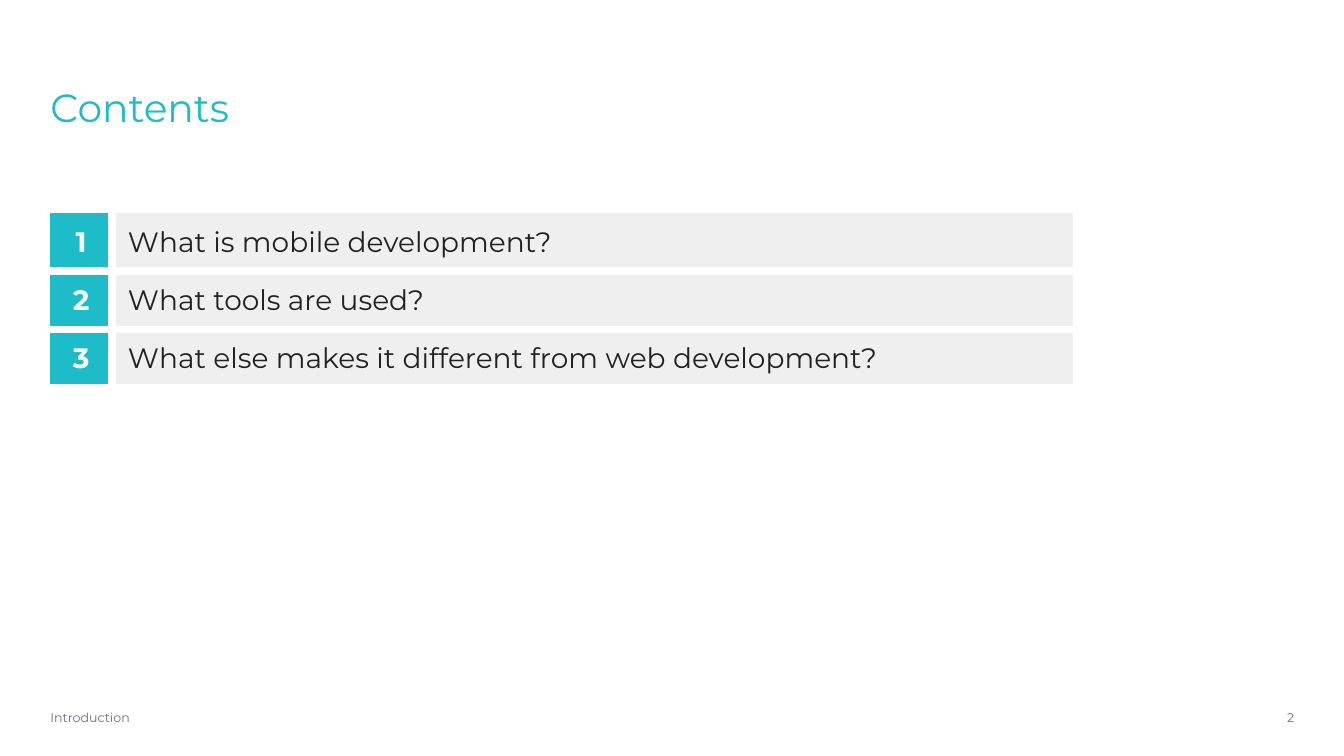
from lxml.etree import SubElement
from pptx import Presentation
from pptx.dml.color import RGBColor
from pptx.enum.text import MSO_ANCHOR, MSO_AUTO_SIZE, PP_ALIGN
from pptx.oxml.ns import qn
from pptx.util import Inches, Pt

HUES = {"teal": "1EBCC8", "grey": "EFEFEF", "ink": "222222",
        "white": "FFFFFF", "slate": "6D6F78"}
TOPICS = ["What is mobile development?", "What tools are used?",
          "What else makes it different from web development?"]
COLS, ROWS = 80, 45


class Deck:
    """Holds the style and current slide, placing items on an 80 by 45 grid."""

    def __init__(self, show):
        self.font = "Montserrat"
        self.unit = show.slide_width / COLS
        self.slide = show.slides.add_slide(show.slide_layouts[5])

    def span(self, *cells):
        return [round(cell * self.unit) for cell in cells]

    def label(self, frame, text, size, hue, align=PP_ALIGN.LEFT, bold=False):
        line = frame.paragraphs[0]
        line.alignment = align
        run = line.add_run()
        run.text = text
        run.font.name = self.font
        run.font.size = Pt(size)
        run.font.bold = bold
        run.font.color.rgb = RGBColor.from_string(HUES[hue])
        return line

    def clear(self, frame, anchor):
        frame.margin_left = frame.margin_right = 0
        frame.margin_top = frame.margin_bottom = 0
        frame.word_wrap = True
        frame.auto_size = MSO_AUTO_SIZE.NONE
        frame.vertical_anchor = anchor

    def title(self, text, *area):
        head = self.slide.shapes.title
        head.left, head.top, head.width, head.height = self.span(*area)
        self.clear(head.text_frame, MSO_ANCHOR.TOP)
        self.label(head.text_frame, text, 28, "teal").line_spacing = 0.9

    def note(self, text, area, align=PP_ALIGN.LEFT):
        frame = self.slide.shapes.add_textbox(*self.span(*area)).text_frame
        self.clear(frame, MSO_ANCHOR.MIDDLE)
        self.label(frame, text, 9, "slate", align)

    def edge(self, cell, sides):
        props = cell._tc.get_or_add_tcPr()
        for side in "LRTB":
            line = SubElement(props, qn(f"a:ln{side}"), w=str(Pt(6)))
            if side in sides:
                fill = SubElement(line, qn("a:solidFill"))
                SubElement(fill, qn("a:srgbClr"), val=HUES["white"])
            else:
                SubElement(line, qn("a:noFill"))

    def cell(self, cell, text, look, sides):
        fill, hue, align, bold, pad = look
        self.edge(cell, sides)
        cell.fill.solid()
        cell.fill.fore_color.rgb = RGBColor.from_string(HUES[fill])
        cell.margin_left = cell.margin_right = Inches(0.16)
        cell.margin_top = cell.margin_bottom = Inches(pad)
        cell.vertical_anchor = MSO_ANCHOR.MIDDLE
        self.label(cell.text_frame, text, 20, hue, align, bold)

    def list(self, items, left, top, widths, height):
        area = self.span(left, top, sum(widths), height * len(items))
        grid = self.slide.shapes.add_table(len(items), 2, *area).table
        grid.first_row = grid.horz_banding = False
        for col, width in zip(grid.columns, self.span(*widths)):
            col.width = width
        badge = ("teal", "white", PP_ALIGN.CENTER, True, 0.12)
        bar = ("grey", "ink", PP_ALIGN.LEFT, False, 0.08)
        for row, item in enumerate(items):
            grid.rows[row].height = self.span(height)[0]
            sides = "TB" if row else "B"
            self.cell(grid.cell(row, 0), str(row + 1), badge, "R" + sides)
            self.cell(grid.cell(row, 1), item, bar, "L" + sides)


def main():
    show = Presentation()
    show.slide_width, show.slide_height = Inches(COLS / 6), Inches(ROWS / 6)
    deck = Deck(show)
    deck.title("Contents", 3, 5.28, 69.24, 7.44)
    deck.list(TOPICS, 3, 12.66, (3.66, 57.24), 3.48)
    deck.note("Introduction", (3, 41.94, 54.66, 1.5))
    deck.note("2", (72.24, 41.94, 4.8, 1.5), PP_ALIGN.RIGHT)
    show.save("out.pptx")


if __name__ == "__main__":
    main()
